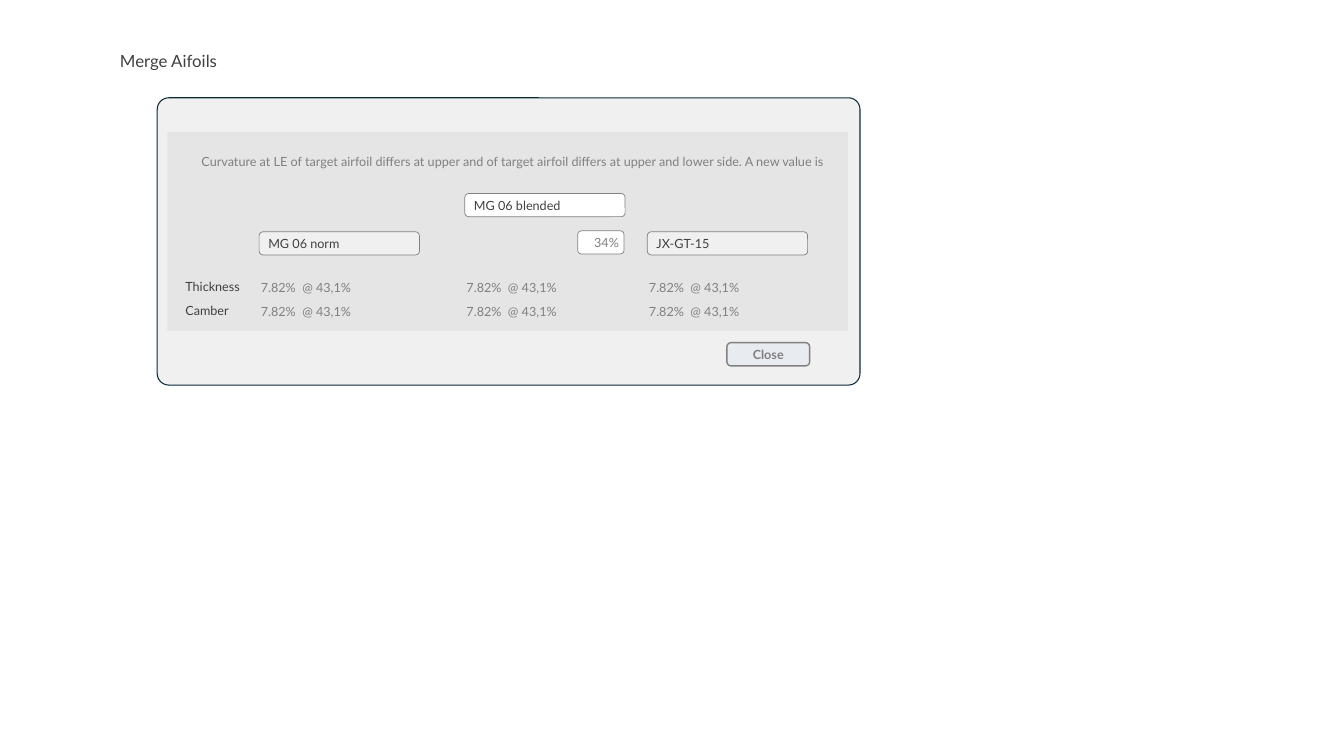
from pptx import Presentation
from pptx.dml.color import RGBColor
from pptx.enum.shapes import MSO_SHAPE
from pptx.enum.text import MSO_ANCHOR, MSO_AUTO_SIZE, PP_ALIGN
from pptx.util import Inches, Pt

WHITE = RGBColor(0xFF, 0xFF, 0xFF)
PANEL = RGBColor(0xF0, 0xF0, 0xF0)
AREA = RGBColor(0xE5, 0xE5, 0xE5)
BUTTON = RGBColor(0xE8, 0xEC, 0xF0)
NAVY = RGBColor(0x09, 0x2A, 0x39)
DARK = RGBColor(0x40, 0x40, 0x40)
GRAY = RGBColor(0x80, 0x80, 0x80)
LEFT, CENTER, RIGHT = PP_ALIGN.LEFT, PP_ALIGN.CENTER, PP_ALIGN.RIGHT

TITLE = "Merge Aifoils"
HINT = ("Curvature at LE of target airfoil differs at upper and of target "
        "airfoil differs at upper and lower side. A new value is")
# name, left, top, fill
FIELDS = [
    ("MG 06 norm", 2.57, 2.3, PANEL),
    ("MG 06 blended", 4.61, 1.92, WHITE),
    ("JX-GT-15", 6.42, 2.3, PANEL),
]
# label, one value under each field
ROWS = [
    ("Thickness", ["7.82%  @ 43,1%"] * 3),
    ("Camber", ["7.82%  @ 43,1%"] * 3),
]
HIGH = 0.23
ROW_TOP, PITCH = 2.74, 0.235
LABEL_LEFT = 1.74


def write(shape, text, color=DARK, size=9, align=LEFT, bold=False,
          inset=0.1, pad=0.04, anchor=MSO_ANCHOR.MIDDLE, wrap=True):
    frame = shape.text_frame
    frame.word_wrap = wrap
    frame.auto_size = MSO_AUTO_SIZE.NONE
    frame.vertical_anchor = anchor
    frame.margin_left = Inches(inset)
    frame.margin_right = frame.margin_top = frame.margin_bottom = Inches(pad)
    frame.text = text
    para = frame.paragraphs[0]
    para.alignment = align
    font = para.font
    font.name, font.size, font.bold = "Lato", Pt(size), bold
    font.color.rgb = color


def box(slide, place, fill, line=None, width=0.5,
        kind=MSO_SHAPE.ROUNDED_RECTANGLE):
    shape = slide.shapes.add_shape(kind, *map(Inches, place))
    shape.shadow.inherit = False
    shape.fill.solid()
    shape.fill.fore_color.rgb = fill
    if line is None:
        shape.line.fill.background()
    else:
        shape.line.color.rgb = line
        shape.line.width = Pt(width)
    return shape


def label(slide, place, text, **style):
    write(slide.shapes.add_textbox(*map(Inches, place)), text, **style)


def main():
    deck = Presentation()
    deck.slide_width, deck.slide_height = Inches(13.33), Inches(7.5)
    slide = deck.slides.add_slide(deck.slide_layouts[5])

    title = slide.shapes.title
    title.left, title.top = Inches(1.09), Inches(0.45)
    title.width, title.height = Inches(1.13), Inches(0.3)
    write(title, TITLE, size=12, pad=0.05, anchor=MSO_ANCHOR.TOP)

    panel = box(slide, (1.56, 0.97, 6.97, 2.85), PANEL, NAVY, 0.75)
    panel.adjustments[0] = 0.04
    box(slide, (1.66, 1.31, 6.75, 1.97), AREA, kind=MSO_SHAPE.RECTANGLE)
    label(slide, (1.9, 1.48, 6.75, 0.25), HINT, color=GRAY)

    for name, left, top, fill in FIELDS:
        field = box(slide, (left, top, 1.59, HIGH), fill, GRAY)
        write(field, name, inset=0.08)
    share = box(slide, (5.73, 2.29, 0.46, HIGH), WHITE, GRAY)
    write(share, "34%", color=GRAY, align=RIGHT)

    for row, (name, values) in enumerate(ROWS):
        top = ROW_TOP + row * PITCH
        label(slide, (LABEL_LEFT, top - 0.01, 0.75, HIGH), name, wrap=False)
        for (_, left, _, _), value in zip(FIELDS, values):
            label(slide, (left - 0.07, top, 1.02, HIGH), value,
                  color=GRAY, align=RIGHT, inset=0)

    close = box(slide, (7.21, 3.4, 0.82, HIGH), BUTTON, GRAY, 1)
    write(close, "Close", color=GRAY, align=CENTER, bold=True, inset=0.04)

    deck.save("out.pptx")


if __name__ == "__main__":
    main()
